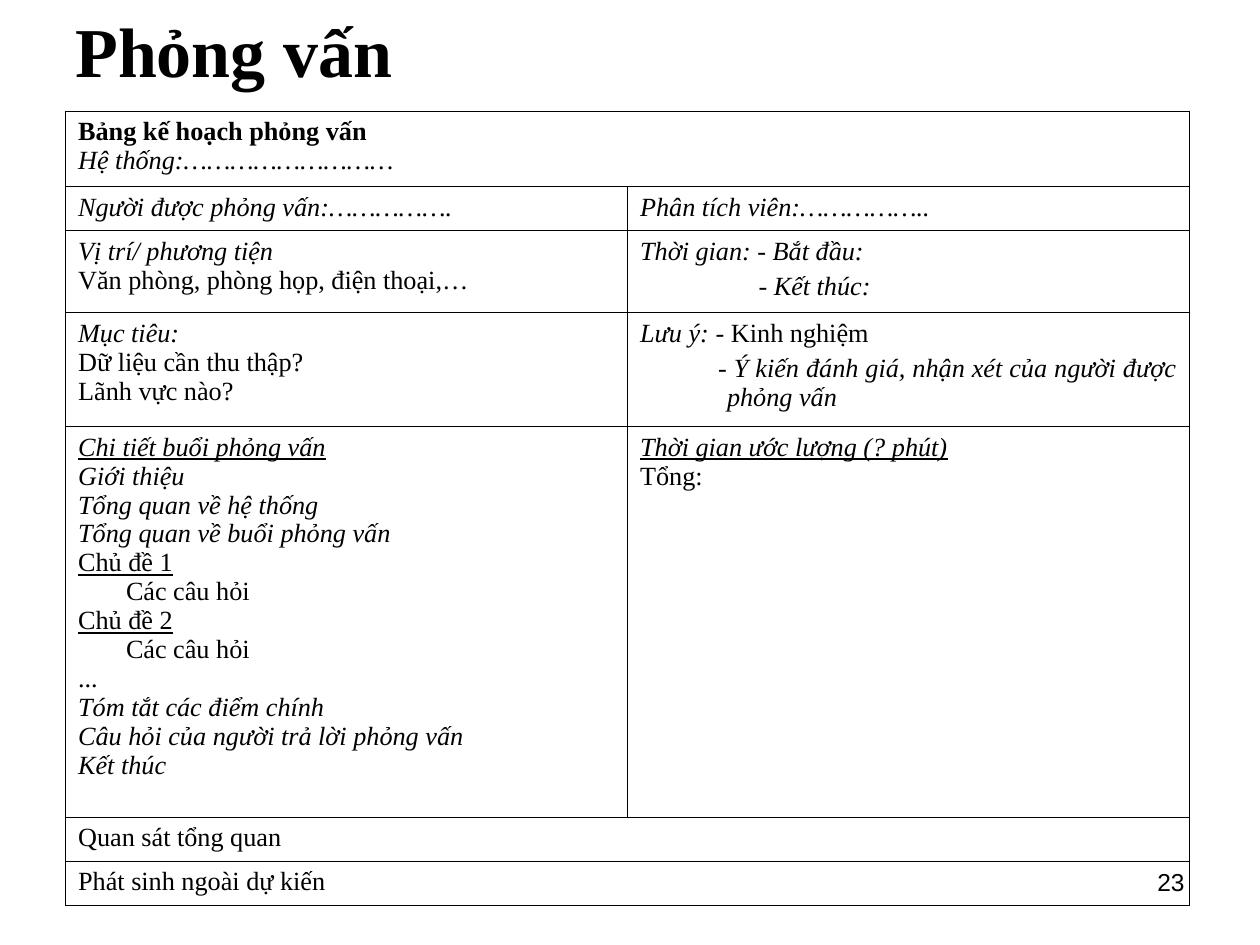
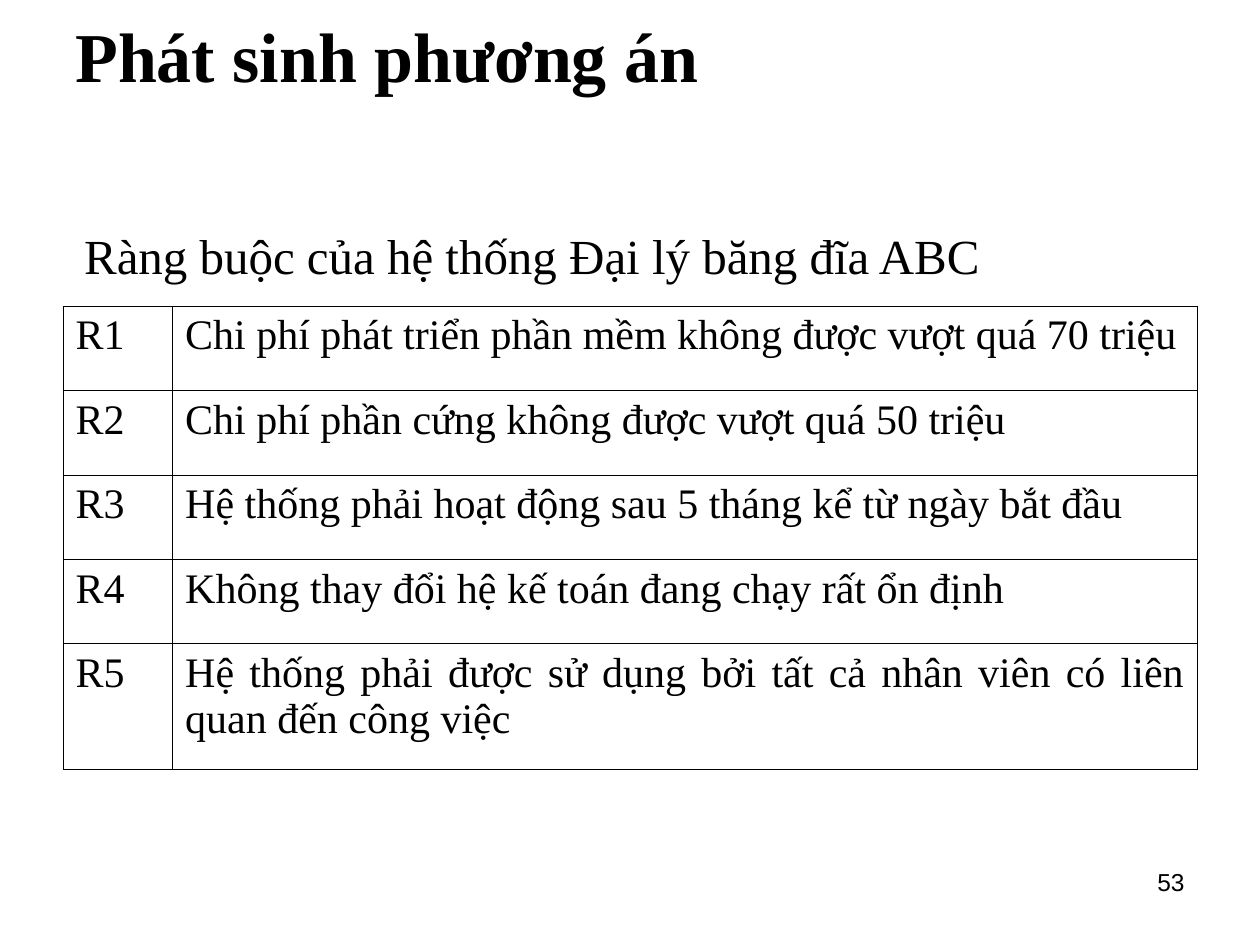
from lxml.etree import SubElement
from pptx import Presentation
from pptx.dml.color import RGBColor
from pptx.enum.text import MSO_ANCHOR, PP_ALIGN
from pptx.oxml.ns import qn
from pptx.util import Inches, Pt

SERIF, SANS = "Times New Roman", "Arial"
INK = "000000"

# A paragraph is (text, style letters, left indent, first line offset);
# a list of such paragraphs fills a cell, None continues a merged row.
PLAN_ROWS = [
    (0.6, [("Bảng kế hoạch phỏng vấn", "b"), ("Hệ thống:………………………", "i")], None),
    (0.35, [("Người được phỏng vấn:…………….", "i")], [("Phân tích viên:……………..", "i")]),
    (0.65,
     [("Vị trí/ phương tiện", "i"), ("Văn phòng, phòng họp, điện thoại,…", "")],
     [("Thời gian: - Bắt đầu:", "i"), ("- Kết thúc:", "is", 0.94)]),
    (0.9,
     [("Mục tiêu:", "i"), ("Dữ liệu cần thu thập?", ""), ("Lãnh vực nào?", "")],
     [([("Lưu ý: - ", "i"), ("Kinh nghiệm", "")], ""),
      ("- Ý kiến đánh giá, nhận xét của người được phỏng vấn", "is", 0.69, -0.07)]),
    (3.1,
     [("Chi tiết buổi phỏng vấn", "iu"), ("Giới thiệu", "i"),
      ("Tổng quan về hệ thống", "i"), ("Tổng quan về buổi phỏng vấn", "i"),
      ("Chủ đề 1", "u"), ("Các câu hỏi", "", 0.38),
      ("Chủ đề 2", "u"), ("Các câu hỏi", "", 0.38), ("...", ""),
      ("Tóm tắt các điểm chính", "i"), ("Câu hỏi của người trả lời phỏng vấn", "i"),
      ("Kết thúc", "i")],
     [("Thời gian ước lượng (? phút)", "iu"), ("Tổng:", "")]),
    (0.35, [("Quan sát tổng quan", "")], None),
    (0.35, [("Phát sinh ngoài dự kiến", "")], None),
]

CONSTRAINTS = [
    "Chi phí phát triển phần mềm không được vượt quá 70 triệu",
    "Chi phí phần cứng không được vượt quá 50 triệu",
    "Hệ thống phải hoạt động sau 5 tháng kể từ ngày bắt đầu",
    "Không thay đổi hệ kế toán đang chạy rất ổn định",
    "Hệ thống phải được sử dụng bởi tất cả nhân viên có liên quan đến công việc",
]
CONSTRAINT_ROWS = [
    (1 if number == len(CONSTRAINTS) else 0.67, [(f"R{number}", "")], [(text, "")])
    for number, text in enumerate(CONSTRAINTS, 1)
]


def color(hex_text):
    return RGBColor.from_string(hex_text)


def style(span, size, letters="", face=SERIF):
    """Format a run; letters b, i and u mean bold, italic and underlined."""
    font = span.font
    font.name, font.size = face, Pt(size)
    font.bold, font.italic, font.underline = (mark in letters for mark in "biu")
    font.color.rgb = color(INK)


def add_text(page, text, place, size, letters="", face=SERIF,
             align=PP_ALIGN.LEFT, anchor=MSO_ANCHOR.TOP, wrap=True):
    box = page.shapes.add_textbox(*map(Inches, place))
    frame = box.text_frame
    frame.text = text
    frame.word_wrap = wrap
    frame.vertical_anchor = anchor
    para = frame.paragraphs[0]
    para.alignment = align
    style(para.runs[0], size, letters, face)


def fill_cell(cell, paragraphs, size):
    frame = cell.text_frame
    for index, (text, letters, *indents) in enumerate(paragraphs):
        para = frame.add_paragraph() if index else frame.paragraphs[0]
        left, first = (indents + [0, 0])[:2]
        para.alignment = PP_ALIGN.JUSTIFY
        if "s" in letters:
            para.space_before = Pt(3.7)
        props = para._p.get_or_add_pPr()
        props.set("marL", str(Inches(left)))
        props.set("indent", str(Inches(first)))
        for words, marks in text if isinstance(text, list) else [(text, letters)]:
            span = para.add_run()
            span.text = words
            style(span, size, marks)


def rule_cell(cell):
    """Draw thin borders round an unfilled cell."""
    props = cell._tc.get_or_add_tcPr()
    for side in ("a:lnL", "a:lnR", "a:lnT", "a:lnB"):
        line = SubElement(props, qn(side), w=str(Pt(0.45)))
        solid = SubElement(line, qn("a:solidFill"))
        SubElement(solid, qn("a:srgbClr"), val=INK)
    cell.fill.background()
    cell.margin_left = cell.margin_right = Inches(0.1)
    cell.margin_top = cell.margin_bottom = Inches(0.05)


def add_grid(page, rows, widths, left, top, size):
    height = sum(row[0] for row in rows)
    table = page.shapes.add_table(
        len(rows), len(widths), Inches(left), Inches(top),
        Inches(sum(widths)), Inches(height)).table
    table.first_row = table.horz_banding = False
    for column, width in zip(table.columns, widths):
        column.width = Inches(width)
    for r, (row_height, *contents) in enumerate(rows):
        table.rows[r].height = Inches(row_height)
        for c, paragraphs in enumerate(contents):
            cell = table.cell(r, c)
            rule_cell(cell)
            if paragraphs is None:
                table.cell(r, 0).merge(cell)
            else:
                fill_cell(cell, paragraphs, size)


def add_page(deck, title, title_height, number):
    page = deck.slides.add_slide(deck.slide_layouts[6])
    add_text(page, number, (7.17, 6.83, 2.33, 0.52), 14, face=SANS, align=PP_ALIGN.RIGHT)
    add_text(page, title, (0.5, 0.3, 9, title_height), 40, "b", anchor=MSO_ANCHOR.MIDDLE)
    return page


def main():
    deck = Presentation()
    deck.slide_width, deck.slide_height = Inches(10), Inches(7.5)

    interview = add_page(deck, "Phỏng vấn", 0.18, "23")
    add_grid(interview, PLAN_ROWS, (4.46, 4.46), 0.52, 0.88, 15)

    options = add_page(deck, "Phát sinh phương án", 0.26, "53")
    add_grid(options, CONSTRAINT_ROWS, (0.87, 8.13), 0.5, 2.43, 24)
    add_text(options, "Ràng buộc của hệ thống Đại lý băng đĩa ABC",
             (0.57, 1.74, 7.33, 0.57), 28, wrap=False)

    deck.save("out.pptx")


if __name__ == "__main__":
    main()
